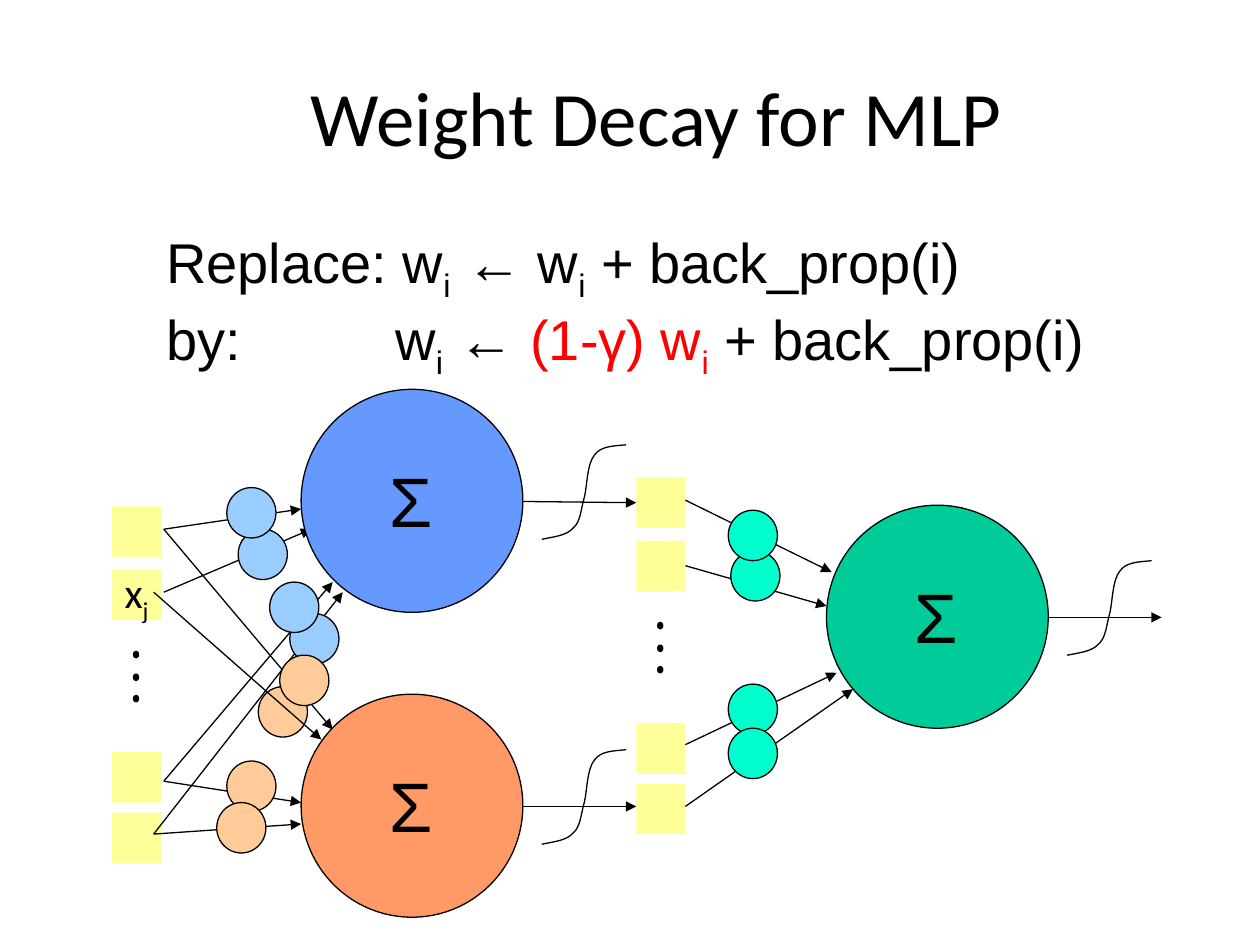
from lxml import etree
from pptx import Presentation, util as u
from pptx.dml.color import RGBColor
from pptx.enum import shapes, text
from pptx.oxml import ns

PX = 9144  # EMU in one px, 100 px to the inch

BLACK = RGBColor(0x00, 0x00, 0x00)
RED = RGBColor(0xFF, 0x00, 0x00)
YELLOW = RGBColor(0xFF, 0xFF, 0x99)
BLUE = RGBColor(0x66, 0x99, 0xFF)
SKY = RGBColor(0x99, 0xCC, 0xFF)
ORANGE = RGBColor(0xFF, 0x99, 0x66)
PEACH = RGBColor(0xFF, 0xCC, 0x99)
GREEN = RGBColor(0x00, 0xCC, 0x99)
MINT = RGBColor(0x00, 0xFF, 0xCC)

OVAL = shapes.MSO_SHAPE.OVAL
RECT = shapes.MSO_SHAPE.RECTANGLE

# Start and end of each link: into the upper, lower and output neuron
LINKS = [
    (130, 470, 247, 420), (130, 420, 239, 404),
    (130, 620, 264, 462), (122, 662, 272, 470),
    (130, 420, 264, 579), (122, 470, 255, 587),
    (130, 620, 239, 637), (122, 662, 239, 654),
    (544, 397, 660, 454), (544, 591, 664, 534), (544, 640, 677, 547),
]
WEIGHTS = [
    (SKY, [(230, 487), (214, 462), (189, 420), (180, 387)]),
    (PEACH, [(180, 604), (172, 637), (222, 520)]),
    (MINT, [(580, 437), (578, 405), (578, 543), (578, 578)]),
]
# Knots and handles of the sigmoid, from its top right end
SIGMOID = [(67, 0), (57, 1), (47, 1), (42, 8), (36, 15), (36, 32), (34, 41),
           (31, 51), (31, 61), (25, 66), (20, 72), (10, 73), (0, 75)]


def px(*vals):
    return [u.Emu(v * PX) for v in vals]


def shape(slide, kind, box, fill, edge=True):
    item = slide.shapes.add_shape(kind, *px(*box))
    item.shadow.inherit = False
    item.fill.solid()
    item.fill.fore_color.rgb = fill
    if edge:
        item.line.color.rgb = BLACK
        item.line.width = u.Pt(0.75)
    else:
        item.line.fill.background()
    return item


def arrow(slide, x1, y1, x2, y2, start=None, end=None):
    """Arrow between two points, joined to the squares given."""
    line = slide.shapes.add_connector(
        shapes.MSO_CONNECTOR.STRAIGHT, *px(x1, y1, x2, y2))
    if start is not None:
        line.begin_connect(start, 3)
    if end is not None:
        line.end_connect(end, 1)
    line.line.color.rgb = BLACK
    line.line.width = u.Pt(0.75)
    edge = line.line._get_or_add_ln()
    etree.SubElement(edge, ns.qn("a:tailEnd"), type="triangle")
    etree.SubElement(line._element.spPr, ns.qn("a:effectLst"))


def add_run(para, words, size, font, color=BLACK, sub=False):
    run = para.add_run()
    run.text = words
    run.font.size = u.Pt(size)
    run.font.name = font
    run.font.color.rgb = color
    if sub:
        run._r.get_or_add_rPr().set("baseline", "-25000")


def text_box(slide, box):
    frame = slide.shapes.add_textbox(*px(*box)).text_frame
    frame.word_wrap = True
    frame.auto_size = text.MSO_AUTO_SIZE.SHAPE_TO_FIT_TEXT
    return frame


def layer(slide, x, y):
    """Four squares with three dots between the pairs."""
    for gap in (115, 133, 150):
        shape(slide, OVAL, (x + 17, y + gap, 4, 5), BLACK)
    return [shape(slide, RECT, (x, y + gap, 39, 40), YELLOW, edge=False)
            for gap in (0, 50, 195, 243)]


def sigmoid(slide, x, y):
    first, *rest = [(x + a, y + b) for a, b in SIGMOID]
    pen = slide.shapes.build_freeform(*first, scale=PX)
    pen.add_line_segments(rest, close=False)
    curve = pen.convert_to_shape()
    # Turn each three line steps into one cubic curve
    steps = list(curve._element.iter(ns.qn("a:lnTo")))
    for i in range(0, len(steps), 3):
        cubic = etree.Element(ns.qn("a:cubicBezTo"))
        steps[i].addprevious(cubic)
        for step in steps[i:i + 3]:
            cubic.append(step[0])
            step.getparent().remove(step)
    curve.shadow.inherit = False
    curve.fill.background()
    curve.line.color.rgb = BLACK
    curve.line.width = u.Pt(0.75)


def neuron(slide, x, y, fill, end=None):
    """Summing circle, its output arrow and its sigmoid."""
    shape(slide, OVAL, (x, y, 176, 177), fill)
    frame = text_box(slide, (x + 60, y + 49, 73, 77))
    add_run(frame.paragraphs[0], "Σ", 40, "Arial")
    arrow(slide, x + 176, y + 89, x + 266, y + 89, end=end)
    sigmoid(slide, x + 191, y + 44)


def weight(slide, x, y, fill):
    shape(slide, OVAL, (x, y, 39, 40), fill)


def set_title(slide):
    title = slide.shapes.title
    title.left, title.top, title.width, title.height = px(96, 29, 850, 125)
    frame = title.text_frame
    frame.vertical_anchor = text.MSO_ANCHOR.MIDDLE
    para = frame.paragraphs[0]
    para.alignment = text.PP_ALIGN.CENTER
    add_run(para, "Weight Decay for MLP", 44, "Calibri")


def rules(slide):
    """The update rule before and after weight decay."""
    frame = text_box(slide, (122, 176, 833, 172))
    rows = [
        [("Replace: w",), ("i", BLACK, True), (" ← w",), ("i", BLACK, True),
         (" + back_prop(i)",)],
        [("by:\tw",), ("i", BLACK, True), (" ← ",), ("(1-γ) w", RED),
         ("i", RED, True), (" + back_prop(i)",)],
    ]
    paras = [frame.paragraphs[0], frame.add_paragraph()]
    for para, row in zip(paras, rows):
        for words, *style in row:
            add_run(para, words, 32, "Arial", *style)
    tabs = etree.SubElement(paras[1]._p.get_or_add_pPr(), ns.qn("a:tabLst"))
    etree.SubElement(tabs, ns.qn("a:tab"), pos=str(182 * PX), algn="l")


def main():
    deck = Presentation()
    deck.slide_width, deck.slide_height = px(1000, 750)
    slide = deck.slides.add_slide(deck.slide_layouts[5])
    set_title(slide)

    # Input and hidden layers
    layer(slide, 89, 402)
    frame = text_box(slide, (89, 445, 73, 50))
    add_run(frame.paragraphs[0], "x", 24, "Calibri")
    add_run(frame.paragraphs[0], "j", 24, "Calibri", sub=True)
    hidden = layer(slide, 505, 379)

    # Links; one weight lies beneath them
    weight(slide, 205, 545, PEACH)
    for link in LINKS:
        arrow(slide, *link)
    arrow(slide, 544, 450, 656, 481, start=hidden[1])

    # Neurons
    neuron(slide, 239, 309, BLUE, hidden[0])
    neuron(slide, 239, 551, ORANGE)
    neuron(slide, 656, 401, GREEN)

    # Weights on the links
    for fill, spots in WEIGHTS:
        for x, y in spots:
            weight(slide, x, y, fill)

    rules(slide)
    deck.save("out.pptx")


if __name__ == "__main__":
    main()
